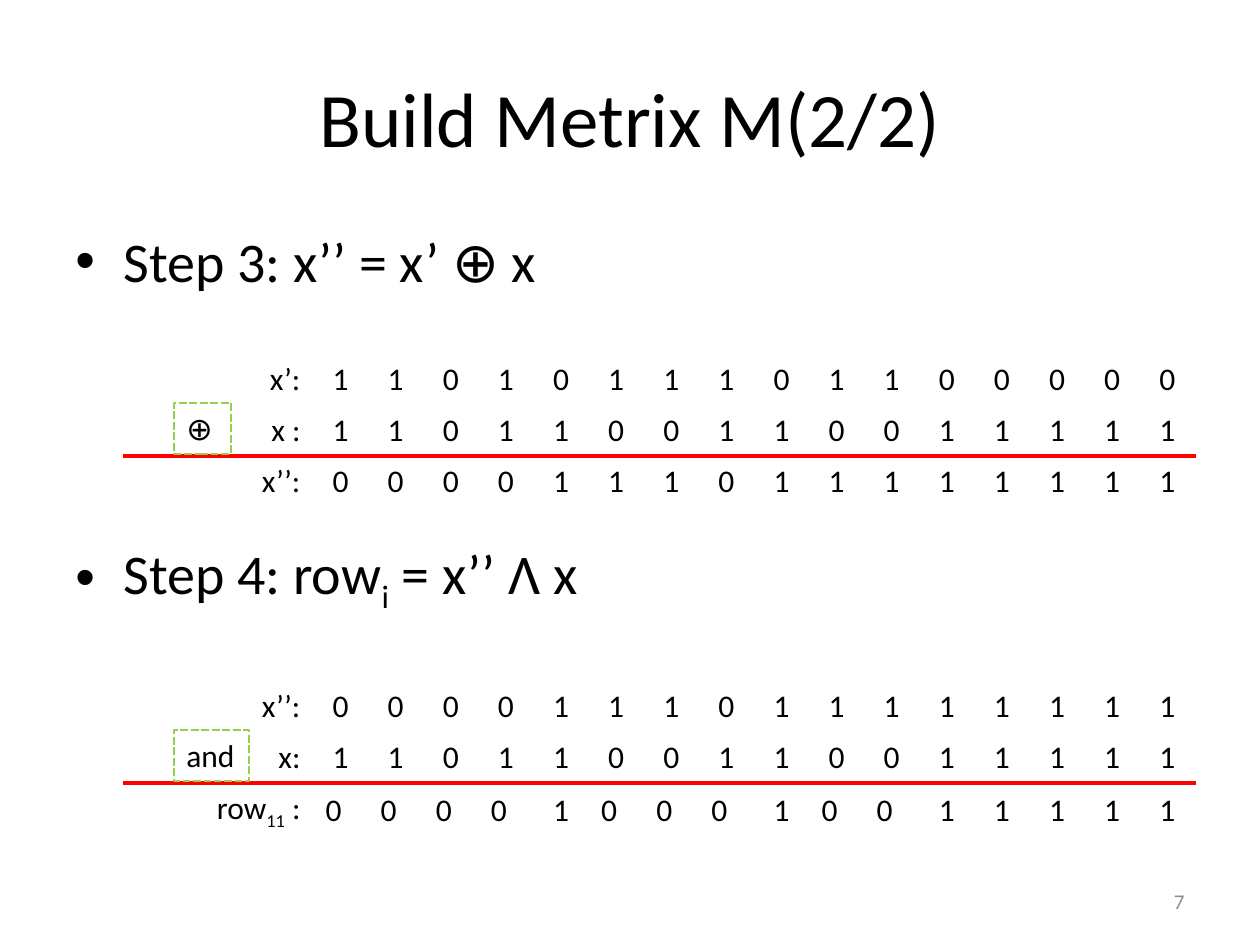
import pptx
import pptx.dml.color
import pptx.enum.dml
import pptx.enum.shapes
import pptx.enum.text
import pptx.oxml
import pptx.oxml.ns
import pptx.util

PX = 914400 / 126
INK = {"text": "000000", "page": "8C8C8C", "rule": "FF0000", "tag": "92D050"}
FONT = "Calibri"
ALIGN = pptx.enum.text.PP_ALIGN
MID = pptx.enum.text.MSO_ANCHOR.MIDDLE

SUM = [
    ("x’:", "1101011101100000"),
    ("x :", "1101100110011111"),
    ("x’’:", "0000111011111111"),
]
PRODUCT = [
    ("x’’:", "0000111011111111"),
    ("x:", "1101100110011111"),
    (("row", "_11", " :"), "0000100010011111"),
]


def px(n):
    return pptx.util.Emu(round(n * PX))


def rgb(name):
    return pptx.dml.color.RGBColor.from_string(INK[name])


def node(xml):
    return pptx.oxml.parse_xml(xml.replace(" ", f" {pptx.oxml.ns.nsdecls('a')} ", 1))


def write(para, runs, size, ink="text", align=None):
    """Add runs to a paragraph; a run that starts with _ is a subscript."""
    para.alignment = align
    for text in [runs] if isinstance(runs, str) else runs:
        run = para.add_run()
        run.text = text.removeprefix("_")
        run.font.name = FONT
        run.font.size = pptx.util.Pt(size)
        run.font.color.rgb = rgb(ink)
        if text.startswith("_"):
            run.font._element.set("baseline", "-25000")


def add_box(slide, box):
    frame = slide.shapes.add_textbox(*map(px, box)).text_frame
    frame.word_wrap = True
    return frame


def add_line(slide, box, text, size, ink, align):
    frame = add_box(slide, box)
    frame.vertical_anchor = MID
    write(frame.paragraphs[0], text, size, ink, align)


def add_steps(slide, box, steps, gap):
    frame = add_box(slide, box)
    for i, runs in enumerate(steps):
        para = frame.add_paragraph() if i else frame.paragraphs[0]
        props = para._p.get_or_add_pPr()
        props.set("marL", str(px(48)))
        props.set("indent", str(-px(48)))
        props.append(node('<a:buFont typeface="Arial"/>'))
        props.append(node('<a:buChar char="•"/>'))
        if i:
            para.space_before = pptx.util.Pt(gap)
        write(para, runs, 32)


def add_rule(cell, side):
    """Draw a red border on side T or B of a cell."""
    cell._tc.get_or_add_tcPr().insert(0, node(
        f'<a:ln{side} w="28575"><a:solidFill><a:srgbClr val="{INK["rule"]}"/>'
        f'</a:solidFill><a:prstDash val="solid"/></a:ln{side}>'))


def add_bits(slide, box, rows, loose=False):
    """Place a bit table; loose leaves the zeros of the last row at the left."""
    left, top, wide, high = box
    count, head = len(rows[0][1]), 189
    table = slide.shapes.add_table(len(rows), count + 1, *map(px, box)).table
    table.first_row = table.horz_banding = False
    for i, col in enumerate(table.columns):
        col.width = px((wide - head) / count if i else head)
    last = len(rows) - 1
    for r, (label, bits) in enumerate(rows):
        table.rows[r].height = px(high / len(rows))
        for c, text in enumerate([label, *bits]):
            cell = table.cell(r, c)
            cell.fill.background()
            cell.vertical_anchor = MID
            align = ALIGN.CENTER if c else ALIGN.RIGHT
            if loose and r == last and text == "0":
                align = ALIGN.LEFT
            write(cell.text_frame.paragraphs[0], text, 18, align=align)
            if r >= last - 1:
                add_rule(cell, "T" if r == last else "B")


def add_tag(slide, box, text):
    kind = pptx.enum.shapes.MSO_SHAPE.RECTANGLE
    tag = slide.shapes.add_shape(kind, *map(px, box))
    tag.shadow.inherit = False
    tag.fill.background()
    tag.line.color.rgb = rgb("tag")
    tag.line.width = pptx.util.Pt(1.5)
    tag.line.dash_style = pptx.enum.dml.MSO_LINE.SQUARE_DOT
    frame = tag.text_frame
    frame.word_wrap = False
    frame.auto_size = pptx.enum.text.MSO_AUTO_SIZE.SHAPE_TO_FIT_TEXT
    frame.vertical_anchor = pptx.enum.text.MSO_ANCHOR.TOP
    write(frame.paragraphs[0], text, 18, align=ALIGN.LEFT)


def add_sum(slide, box, rows, sign, wide, loose=False):
    """Place a bit table with its operator tag beside the middle row."""
    left, top, _, high = box
    add_bits(slide, box, rows, loose)
    add_tag(slide, (left + 50, top + 49, wide, high // 3), sign)


def main():
    deck = pptx.Presentation()
    deck.slide_width, deck.slide_height = px(1260), px(945)
    slide = deck.slides.add_slide(deck.slide_layouts[6])
    add_line(slide, (63, 38, 1134, 157), "Build Metrix M(2/2)", 44, "text", ALIGN.CENTER)
    add_steps(slide, (63, 220, 1134, 624), [
        "Step 3: x’’ = x’ ⊕ x",
        ("Step 4: row", "_i", " = x’’ Ʌ x"),
    ], 140)
    add_line(slide, (903, 876, 294, 50), "7", 12, "page", ALIGN.RIGHT)
    add_sum(slide, (124, 354, 1071, 153), SUM, "⊕", 57)
    add_sum(slide, (124, 681, 1071, 153), PRODUCT, "and", 75, loose=True)
    deck.save("out.pptx")


if __name__ == "__main__":
    main()
